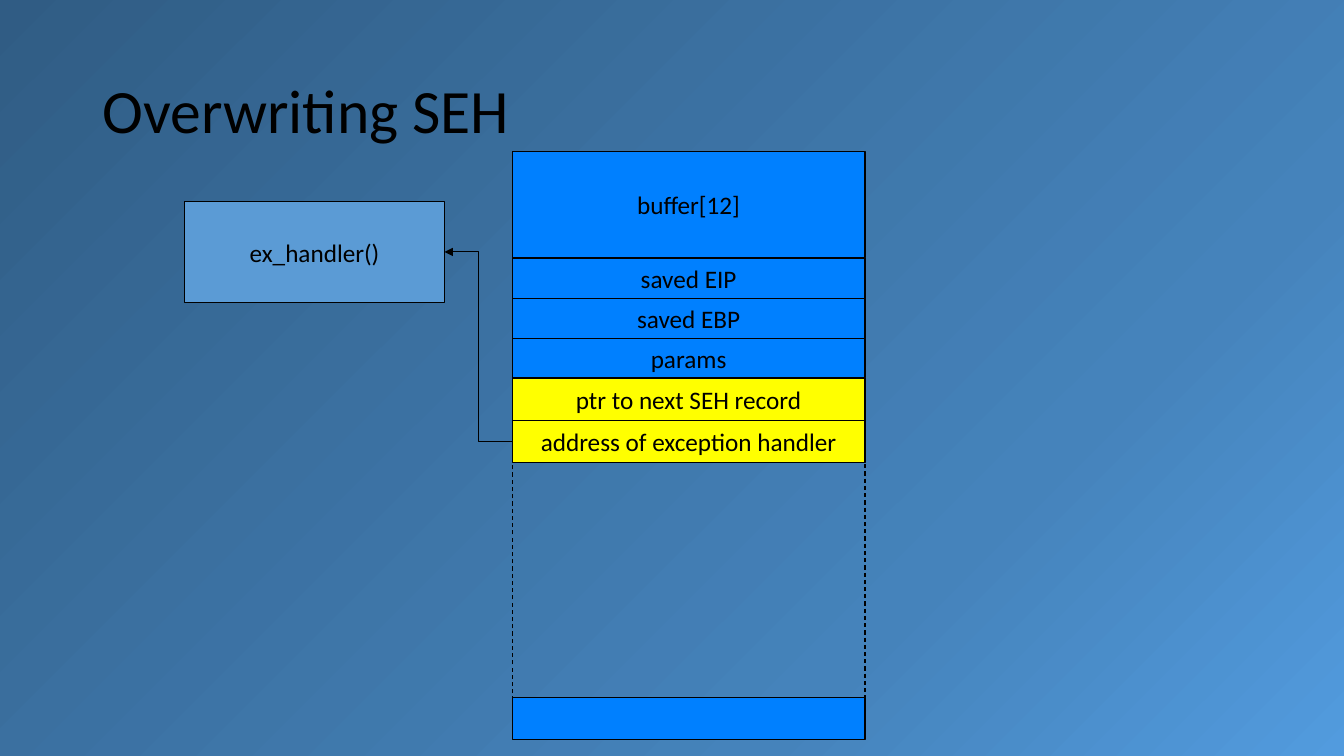
from dataclasses import dataclass

from pptx import Presentation
from pptx.dml.color import RGBColor
from pptx.enum.dml import MSO_LINE
from pptx.enum.shapes import MSO_CONNECTOR, MSO_SHAPE
from pptx.enum.text import MSO_ANCHOR, MSO_AUTO_SIZE, PP_ALIGN
from pptx.oxml import parse_xml
from pptx.oxml.ns import nsdecls
from pptx.oxml.xmlchemy import OxmlElement
from pptx.util import Inches, Pt


@dataclass(frozen=True)
class Theme:
    font: str = "Calibri"
    title_size: int = 44
    label_size: int = 18
    line_width: float = 0.75
    ink: str = "000000"
    stack: str = "0080FF"
    record: str = "FFFF00"
    handler: str = "5B9BD5"
    # position %, colour, opacity %
    background: tuple = ((0, "305C84", 100), (72, "4583BB", 58), (100, "529BDE", 100))


THEME = Theme()
STACK_LEFT, STACK_TOP, STACK_WIDTH = 5.08, 1.5, 3.5
HANDLER_RECORD = "address of exception handler"
# label, height, fill; a row without fill is the dashed gap
STACK_ROWS = [
    ("buffer[12]", 1.06, THEME.stack),
    ("saved EIP", 0.4, THEME.stack),
    ("saved EBP", 0.4, THEME.stack),
    ("params", 0.39, THEME.stack),
    ("ptr to next SEH record", 0.42, THEME.record),
    (HANDLER_RECORD, 0.42, THEME.record),
    ("", 2.33, None),
    ("", 0.42, THEME.stack),
]


def set_background(slide):
    """Fill the slide with a gradient spreading from its top left corner."""
    stops = "".join(
        f'<a:gs pos="{position * 1000}"><a:srgbClr val="{colour}">'
        + (f'<a:alpha val="{opacity * 1000}"/>' if opacity < 100 else "")
        + "</a:srgbClr></a:gs>"
        for position, colour, opacity in THEME.background
    )
    background = parse_xml(
        f'<p:bg {nsdecls("p", "a")}><p:bgPr><a:gradFill rotWithShape="1">'
        f'<a:gsLst>{stops}</a:gsLst><a:path path="circle">'
        '<a:fillToRect r="100000" b="100000"/></a:path></a:gradFill>'
        "<a:effectLst/></p:bgPr></p:bg>"
    )
    slide.element.cSld.insert(0, background)


def format_text(paragraph, size, alignment):
    paragraph.alignment = alignment
    for run in paragraph.runs:
        run.font.name = THEME.font
        run.font.size = Pt(size)
        run.font.color.rgb = RGBColor.from_string(THEME.ink)


def format_line(line):
    line.color.rgb = RGBColor.from_string(THEME.ink)
    line.width = Pt(THEME.line_width)


def set_title(slide, text):
    title = slide.shapes.title
    title.left, title.top = Inches(0.92), Inches(0.4)
    title.width, title.height = Inches(11.5), Inches(1.45)
    frame = title.text_frame
    frame.text = text
    frame.auto_size = MSO_AUTO_SIZE.NONE
    frame.vertical_anchor = MSO_ANCHOR.MIDDLE
    frame.paragraphs[0].line_spacing = 0.9
    format_text(frame.paragraphs[0], THEME.title_size, PP_ALIGN.LEFT)


def add_box(slide, left, top, width, height, label, fill):
    box = slide.shapes.add_shape(
        MSO_SHAPE.RECTANGLE, Inches(left), Inches(top), Inches(width), Inches(height)
    )
    box.shadow.inherit = False
    format_line(box.line)
    if fill:
        box.fill.solid()
        box.fill.fore_color.rgb = RGBColor.from_string(fill)
    else:
        box.fill.background()
        box.line.dash_style = MSO_LINE.DASH
    if label:
        frame = box.text_frame
        frame.text = label
        frame.word_wrap = False
        frame.vertical_anchor = MSO_ANCHOR.MIDDLE
        format_text(frame.paragraphs[0], THEME.label_size, PP_ALIGN.CENTER)
    return box


def add_stack(slide):
    """Draw the rows downwards and return the box that points to the handler."""
    top = STACK_TOP
    pointer = None
    for label, height, fill in STACK_ROWS:
        box = add_box(slide, STACK_LEFT, top, STACK_WIDTH, height, label, fill)
        if label == HANDLER_RECORD:
            pointer = box
        top += height
    return pointer


def add_elbow_arrow(slide, source, target):
    """Lead from the left side of source to the right side of target."""
    arrow = slide.shapes.add_connector(MSO_CONNECTOR.ELBOW, 0, 0, 0, 0)
    arrow.begin_connect(source, 1)
    arrow.end_connect(target, 3)
    format_line(arrow.line)
    head = OxmlElement("a:tailEnd")
    head.set("type", "triangle")
    arrow.line._get_or_add_ln().append(head)
    arrow._element.spPr.append(OxmlElement("a:effectLst"))


def main():
    presentation = Presentation()
    presentation.slide_width = Inches(13.33)
    presentation.slide_height = Inches(7.5)
    slide = presentation.slides.add_slide(presentation.slide_layouts[5])
    set_background(slide)
    set_title(slide, "Overwriting SEH")
    pointer = add_stack(slide)
    handler = add_box(slide, 1.83, 2, 2.58, 1, "ex_handler()", THEME.handler)
    add_elbow_arrow(slide, pointer, handler)
    presentation.save("out.pptx")


if __name__ == "__main__":
    main()
